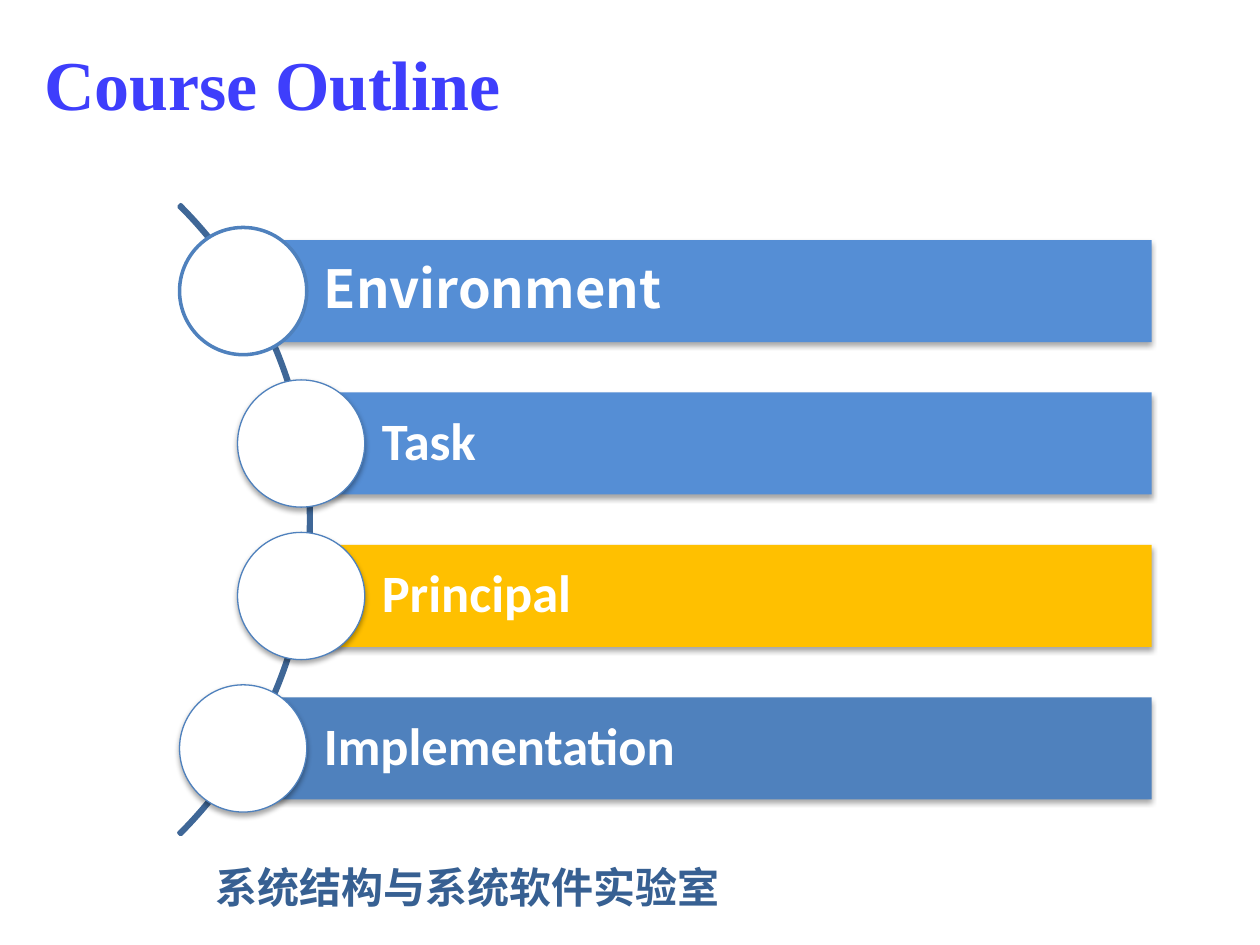
"""Build the course outline slide."""
import pptx
import pptx.util
import pptx.dml.color
import pptx.enum.shapes
import pptx.enum.text
import pptx.oxml
import pptx.oxml.ns

Inches = pptx.util.Inches
Pt = pptx.util.Pt
RGBColor = pptx.dml.color.RGBColor
Kind = pptx.enum.shapes.MSO_SHAPE
Anchor = pptx.enum.text.MSO_ANCHOR
Align = pptx.enum.text.PP_ALIGN

WHITE = RGBColor(0xFF, 0xFF, 0xFF)
SKY = RGBColor(0x55, 0x8E, 0xD5)
BLUE = RGBColor(0x4F, 0x81, 0xBD)
GOLD = RGBColor(0xFF, 0xC0, 0x00)
STEEL = RGBColor(0x3F, 0x67, 0x97)
NAVY = RGBColor(0x37, 0x60, 0x92)
VIOLET = RGBColor(0x3E, 0x3E, 0xFC)

TITLE = "Course Outline"
LAB = "系统结构与系统软件实验室"
TOPICS = [
    ("Environment", "Noto Sans CJK SC", SKY, 1.93, 2, False),
    ("Task", "Calibri", SKY, 2.39, 0.75, True),
    ("Principal", "Calibri", GOLD, 2.39, 0.75, True),
    ("Implementation", "Calibri", BLUE, 1.93, 0.75, True),
]
RIGHT, FIRST, STEP = 9.14, 2.31, 1.21
BAR, DISC = 0.81, 1.01

SHADOW = (
    f'<a:outerShdw {pptx.oxml.ns.nsdecls("a")} blurRad="{Pt(3.1)}" dist="{Pt(1.8)}" '
    'dir="5400000" rotWithShape="0"><a:srgbClr val="000000">'
    '<a:alpha val="35000"/></a:srgbClr></a:outerShdw>'
)


def place(shape, left, top, width, height):
    shape.left, shape.top = Inches(left), Inches(top)
    shape.width, shape.height = Inches(width), Inches(height)


def write(shape, text, font, size, color):
    frame = shape.text_frame
    frame.text = text
    frame.word_wrap = True
    para = frame.paragraphs[0]
    para.alignment = Align.LEFT
    face = para.runs[0].font
    face.name, face.size, face.bold = font, Pt(size), True
    face.color.rgb = color
    return frame


def draw(slide, kind, box, fill=None, line=None, width=0, shade=False):
    shape = slide.shapes.add_shape(kind, *map(Inches, box))
    if fill is None:
        shape.fill.background()
    else:
        shape.fill.solid()
        shape.fill.fore_color.rgb = fill
    if line is None:
        shape.line.fill.background()
    else:
        shape.line.color.rgb = line
        shape.line.width = Pt(width)
    shape.shadow.inherit = False
    if shade:
        effect = shape._element.spPr.find(pptx.oxml.ns.qn("a:effectLst"))
        effect.append(pptx.oxml.parse_xml(SHADOW))
    return shape


def add_topic(slide, mid, text, font, fill, left, width, shade):
    box = (left, mid - BAR / 2, RIGHT - left, BAR)
    bar = draw(slide, Kind.RECTANGLE, box, fill, shade=True)
    frame = write(bar, text, font, 30, WHITE)
    frame.vertical_anchor = Anchor.MIDDLE
    frame.margin_left = Inches(0.64)
    frame.margin_top = frame.margin_right = frame.margin_bottom = Inches(0.08)
    frame.paragraphs[0].line_spacing = 0.9
    box = (left - DISC / 2, mid - DISC / 2, DISC, DISC)
    draw(slide, Kind.OVAL, box, WHITE, BLUE, width, shade)


def main():
    deck = pptx.Presentation()
    deck.slide_width, deck.slide_height = Inches(10), Inches(7.5)
    slide = deck.slides.add_slide(deck.slide_layouts[5])

    title = slide.shapes.title
    place(title, 0.25, 0.13, 7.66, 1.05)
    frame = write(title, TITLE, "Times New Roman", 40, VIOLET)
    frame.vertical_anchor = Anchor.MIDDLE

    lab = slide.shapes.add_textbox(*map(Inches, (1.61, 6.79, 5.28, 0.51)))
    write(lab, LAB, "Roboto", 24, NAVY)

    arc = draw(slide, Kind.BLOCK_ARC, (-4.6, 0.59, 7.07, 7.07), None, STEEL, 2)
    for i, value in enumerate((189, 27, 0.003)):
        arc.adjustments[i] = value

    for i, topic in enumerate(TOPICS):
        add_topic(slide, FIRST + i * STEP, *topic)

    deck.save("out.pptx")


if __name__ == "__main__":
    main()
